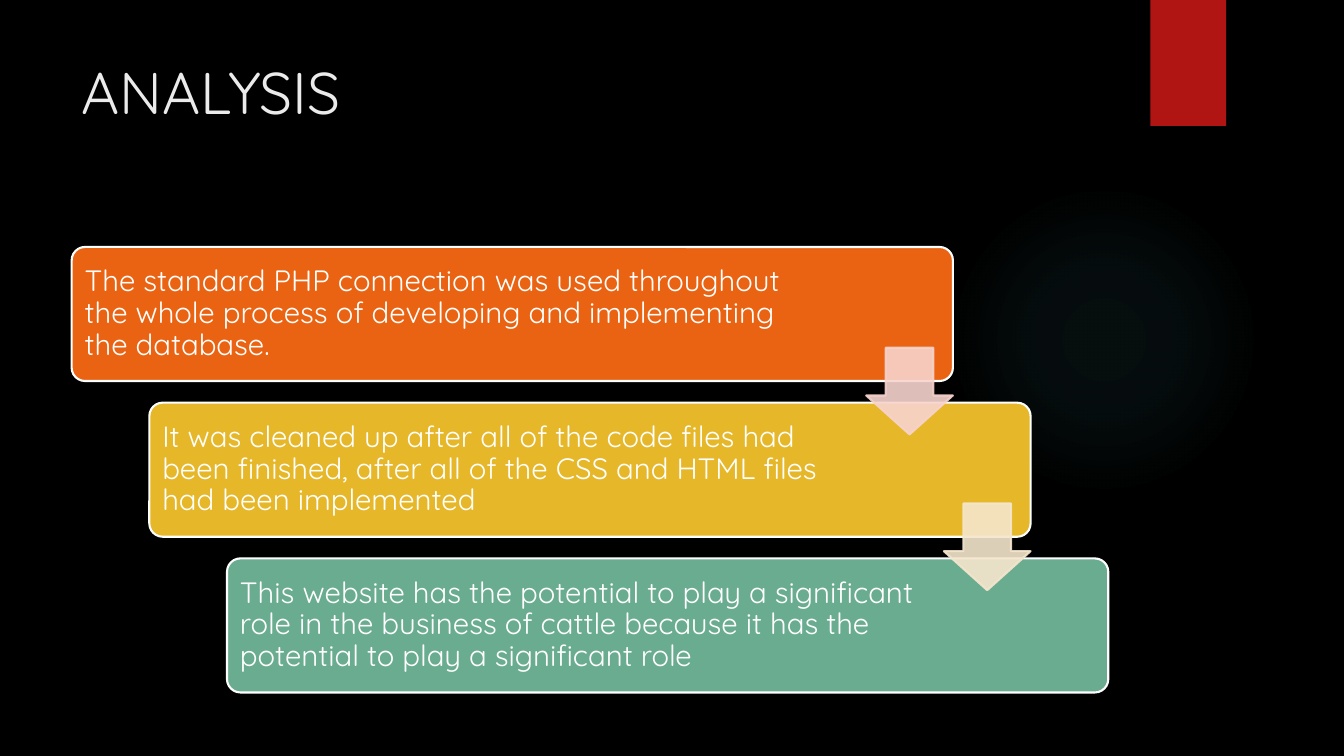
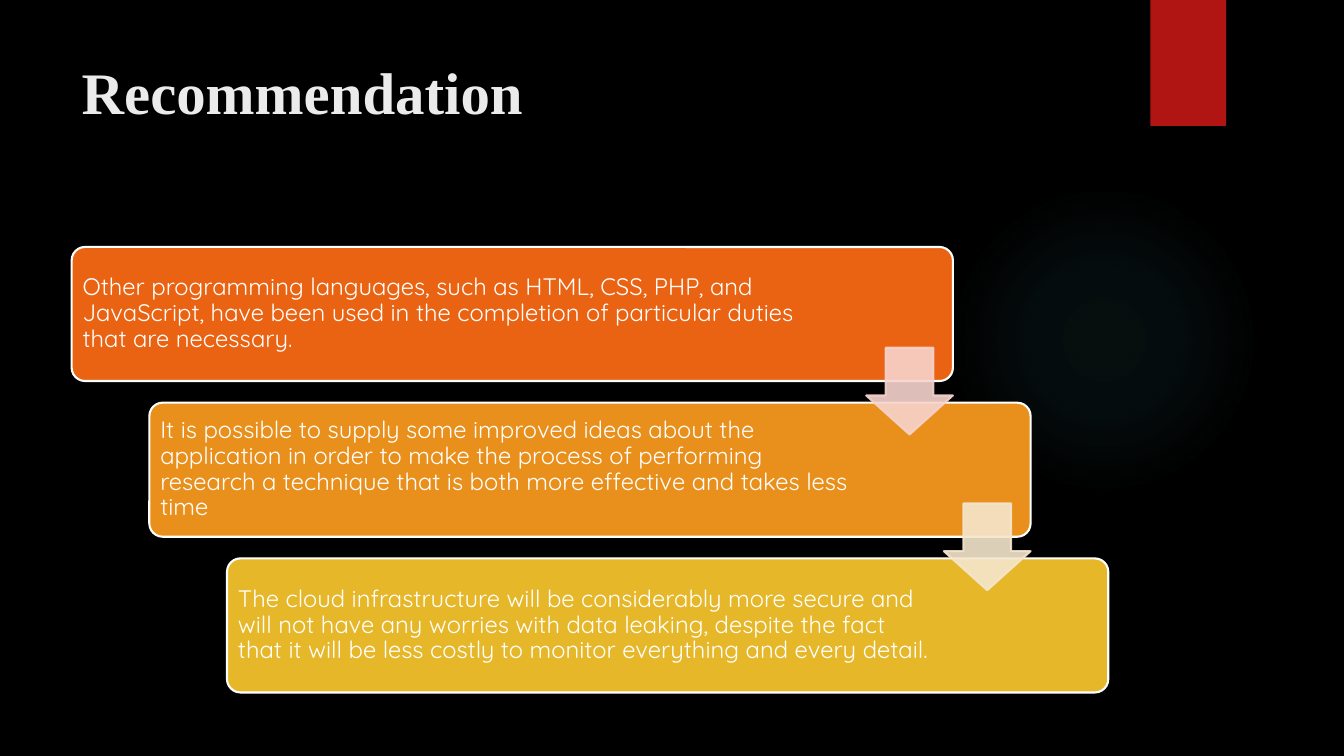
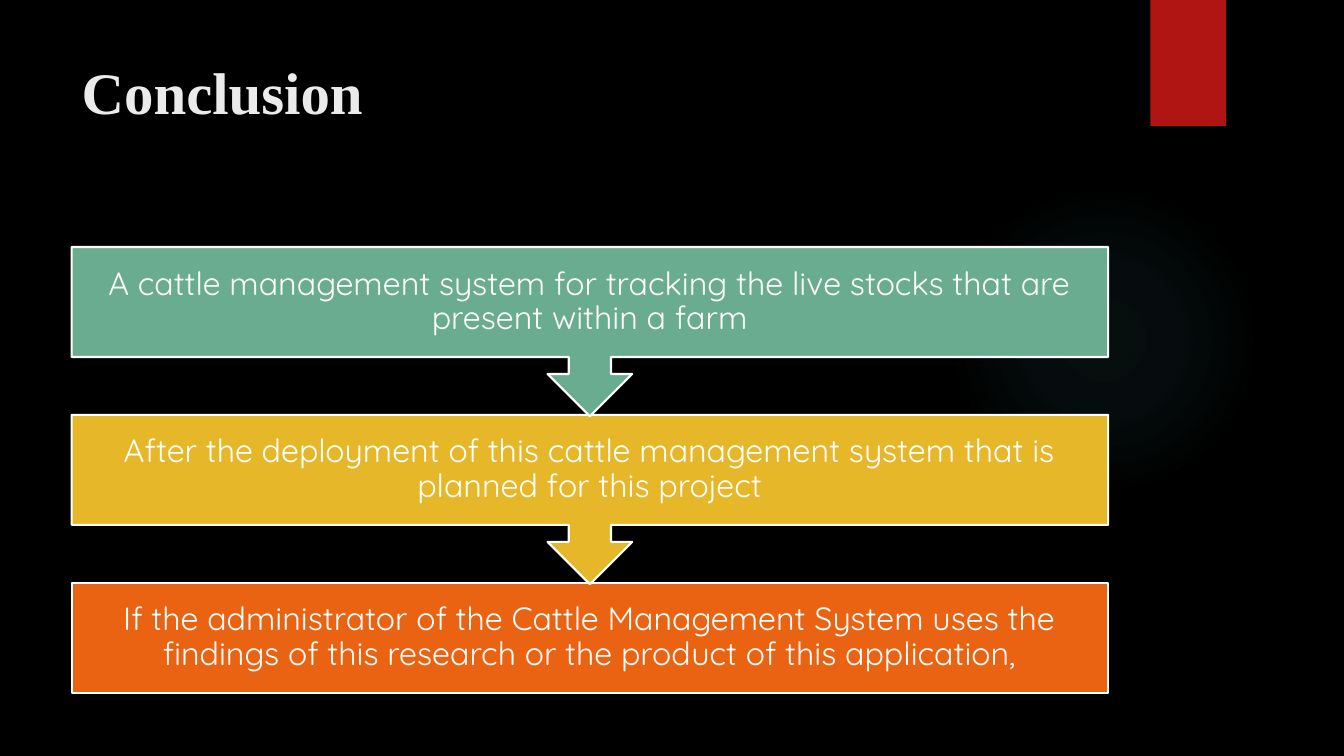
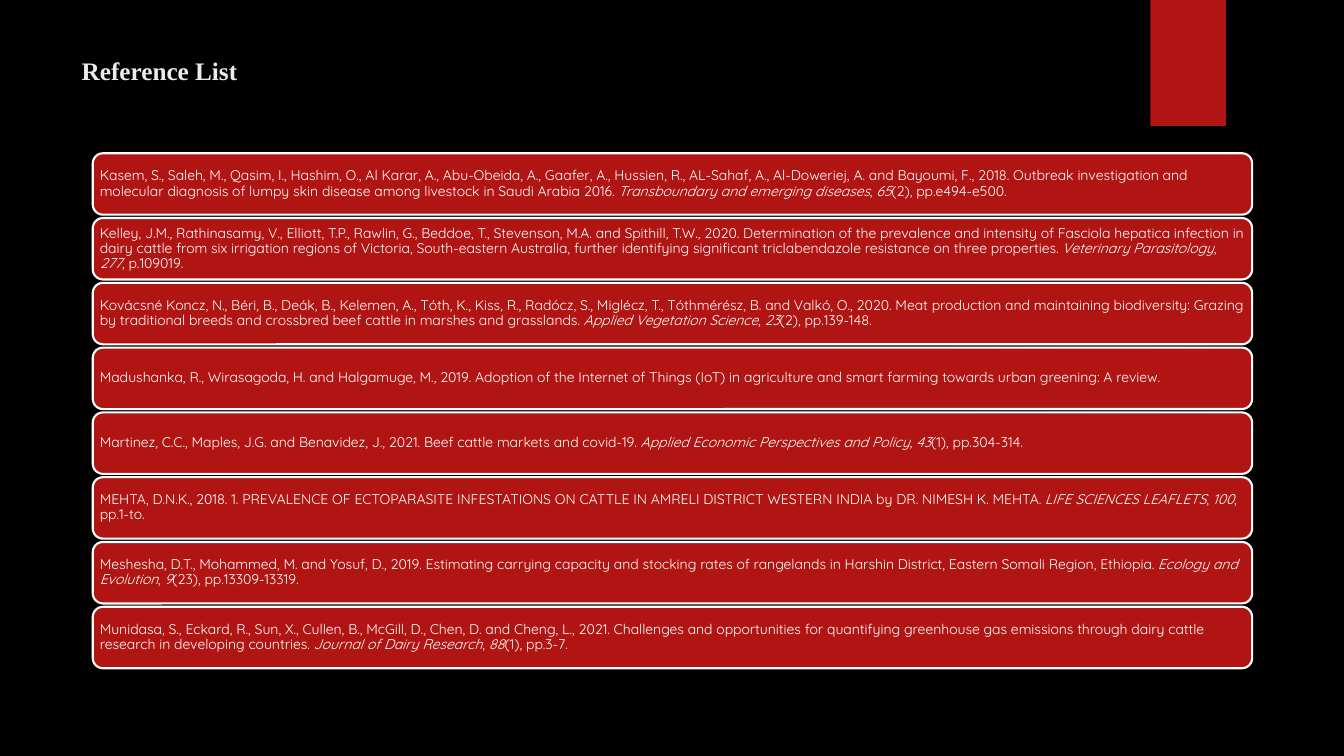
from lxml import etree
from pptx import Presentation
from pptx import util as u
from pptx.dml.color import RGBColor
from pptx.enum import shapes, text
from pptx.oxml import parse_xml
from pptx.oxml.ns import nsdecls, qn

BLACK = RGBColor(0x00, 0x00, 0x00)
WHITE = RGBColor(0xFF, 0xFF, 0xFF)
TITLE_GREY = RGBColor(0xEB, 0xEB, 0xEB)
RED = RGBColor(0xB0, 0x15, 0x13)
ORANGE = RGBColor(0xEA, 0x63, 0x12)
AMBER = RGBColor(0xE9, 0x90, 0x1C)
YELLOW = RGBColor(0xE6, 0xB7, 0x29)
GREEN = RGBColor(0x6A, 0xAC, 0x90)
PINK = RGBColor(0xF7, 0xD3, 0xCC)
CREAM = RGBColor(0xF5, 0xE6, 0xCD)
BODY_FONT = "Quicksand"
HEADING_FONT = "Times New Roman"
PRESET = shapes.MSO_SHAPE

presentation = Presentation()
presentation.slide_width = u.Inches(13.33)
presentation.slide_height = u.Inches(7.5)
column = presentation.slide_width / 100
row = presentation.slide_height / 100


def add_box(slide, preset, left, top, width, height, fill, outline=None):
    shape = slide.shapes.add_shape(
        preset, round(left * column), round(top * row), round(width * column), round(height * row))
    shape.shadow.inherit = False
    shape.fill.solid()
    shape.fill.fore_color.rgb = fill
    if outline is None:
        shape.line.fill.background()
    else:
        shape.line.color.rgb = outline
        shape.line.width = u.Pt(1.5)
    return shape


def add_text(shape, runs, size, margin, alignment=text.PP_ALIGN.LEFT, spare_right=0):
    frame = shape.text_frame
    frame.word_wrap = True
    frame.vertical_anchor = text.MSO_ANCHOR.MIDDLE
    frame.margin_left = frame.margin_top = frame.margin_bottom = u.Inches(margin)
    frame.margin_right = u.Inches(margin + spare_right)
    paragraph = frame.paragraphs[0]
    paragraph.alignment = alignment
    paragraph.line_spacing = 0.9
    for index, wording in enumerate(runs):
        run = paragraph.add_run()
        run.text = wording
        run.font.name = BODY_FONT
        run.font.size = u.Pt(size)
        run.font.italic = index % 2 == 1
        run.font.color.rgb = WHITE


layout = presentation.slide_layouts[5]
layout.background.fill.solid()
layout.background.fill.fore_color.rgb = BLACK
for placeholder in list(layout.placeholders):
    if placeholder.placeholder_format.idx != 0:
        layout.shapes.element.remove(placeholder.element)

titles = [
    ("ANALYSIS", BODY_FONT, 42, False),
    ("Recommendation", HEADING_FONT, 42, True),
    ("Conclusion", HEADING_FONT, 42, True),
    ("Reference List", HEADING_FONT, 18, True),
]
for wording, font_name, size, bold in titles:
    title = presentation.slides.add_slide(layout).shapes.title
    title.left, title.top = round(5.33 * column), round(6.67 * row)
    title.width, title.height = round(77.2 * column), round(20.4 * row)
    title.text_frame.vertical_anchor = text.MSO_ANCHOR.TOP
    title.text_frame.auto_size = text.MSO_AUTO_SIZE.NONE
    paragraph = title.text_frame.paragraphs[0]
    paragraph.alignment = text.PP_ALIGN.LEFT
    run = paragraph.add_run()
    run.text = wording
    run.font.name = font_name
    run.font.size = u.Pt(size)
    run.font.bold = bold
    run.font.color.rgb = TITLE_GREY

analysis, recommendation, conclusion, references = presentation.slides

glow = add_box(analysis, PRESET.OVAL, 70.59, 24.4, 23.1, 41.07, BLACK)
stops = "".join(
    f'<a:gs pos="{position * 1000}"><a:srgbClr val="50B9C1"><a:alpha val="{alpha * 1000}"/></a:srgbClr></a:gs>'
    for position, alpha in [(0, 7), (36, 6), (69, 0)])
gradient = parse_xml(
    f'<a:gradFill {nsdecls("a")}><a:gsLst>{stops}</a:gsLst><a:path path="circle">'
    '<a:fillToRect l="50000" t="50000" r="50000" b="50000"/></a:path></a:gradFill>')
properties = glow.element.spPr
properties.replace(properties.find(qn("a:solidFill")), gradient)

ribbon = add_box(analysis, PRESET.RECTANGLE, 85.6, 0, 5.63, 16.67, RED)
ribbon.element.spPr.find(qn("a:effectLst")).append(parse_xml(
    f'<a:outerShdw {nsdecls("a")} blurRad="{u.Pt(3)}" dist="{u.Pt(2)}" dir="5400000">'
    '<a:srgbClr val="000000"><a:alpha val="45000"/></a:srgbClr></a:outerShdw>'))
for decoration in (glow, ribbon):
    layout.shapes.element.append(decoration.element)

staircases = [
    (analysis, 21, 0.09, [
        (ORANGE, "The standard PHP connection was used throughout the whole process of developing and implementing the database."),
        (YELLOW, "It was cleaned up after all of the code files had been finished, after all of the CSS and HTML files had been implemented"),
        (GREEN, "This website has the potential to play a significant role in the business of cattle because it has the potential to play a significant role"),
    ]),
    (recommendation, 17, 0.07, [
        (ORANGE, "Other programming languages, such as HTML, CSS, PHP, and JavaScript, have been used in the completion of particular duties that are necessary."),
        (AMBER, "It is possible to supply some improved ideas about the application in order to make the process of performing research a technique that is both more effective and takes less time"),
        (YELLOW, "The cloud infrastructure will be considerably more secure and will not have any worries with data leaking, despite the fact that it will be less costly to monitor everything and every detail."),
    ]),
]
left, top, step_right, step_down = 5.33, 32.67, 5.78, 20.6
card_width, arrow_width = 65.57, 6.45
for slide, size, margin, cards in staircases:
    for index, (fill, wording) in enumerate(cards):
        card = add_box(slide, PRESET.ROUNDED_RECTANGLE, left + index * step_right,
                       top + index * step_down, card_width, 17.73, fill, WHITE)
        card.adjustments[0] = 0.1
        add_text(card, [wording], size, margin, spare_right=1.63 if index else 1.35)
    for index, colour in enumerate((PINK, CREAM)):
        arrow = add_box(slide, PRESET.DOWN_ARROW, left + index * step_right + card_width - arrow_width,
                        top + index * step_down + 13.33, arrow_width, 11.47, colour, colour)
        arrow.adjustments[0] = 0.55
        arrow.adjustments[1] = 0.45
        for tint in arrow.element.spPr.iter(qn("a:srgbClr")):
            etree.SubElement(tint, qn("a:alpha")).set("val", "90000")

conclusions = [
    (GREEN, "A cattle management system for tracking the live stocks that are present within a farm"),
    (YELLOW, "After the deployment of this cattle management system that is planned for this project"),
    (ORANGE, "If the administrator of the Cattle Management System uses the findings of this research or the product of this application,"),
]
for index, (fill, wording) in reversed(list(enumerate(conclusions))):
    is_last = index == len(conclusions) - 1
    preset = PRESET.RECTANGLE if is_last else PRESET.DOWN_ARROW_CALLOUT
    stage = add_box(conclusion, preset, left, top + index * 22.2, 77.12,
                    14.55 if is_last else 22.4, fill, WHITE)
    add_text(stage, [wording], 23, 0.18, text.PP_ALIGN.CENTER)

sources = [
    ("Kasem, S., Saleh, M., Qasim, I., Hashim, O., Al Karar, A., Abu‐Obeida, A., Gaafer, A., Hussien, R., AL‐Sahaf, A., Al‐Doweriej, A. and Bayoumi, F., 2018. Outbreak investigation and molecular diagnosis of lumpy skin disease among livestock in Saudi Arabia 2016. ",
     "Transboundary and emerging diseases", ", ", "65", "(2), pp.e494-e500."),
    ("Kelley, J.M., Rathinasamy, V., Elliott, T.P., Rawlin, G., Beddoe, T., Stevenson, M.A. and Spithill, T.W., 2020. Determination of the prevalence and intensity of Fasciola hepatica infection in dairy cattle from six irrigation regions of Victoria, South-eastern Australia, further identifying significant triclabendazole resistance on three properties. ",
     "Veterinary Parasitology", ", ", "277", ", p.109019."),
    ("Kovácsné Koncz, N., Béri, B., Deák, B., Kelemen, A., Tóth, K., Kiss, R., Radócz, S., Miglécz, T., Tóthmérész, B. and Valkó, O., 2020. Meat production and maintaining biodiversity: Grazing by traditional breeds and crossbred beef cattle in marshes and grasslands. ",
     "Applied Vegetation Science", ", ", "23", "(2), pp.139-148."),
    ("Madushanka, R., Wirasagoda, H. and Halgamuge, M., 2019. Adoption of the Internet of Things (IoT) in agriculture and smart farming towards urban greening: A review.",),
    ("Martinez, C.C., Maples, J.G. and Benavidez, J., 2021. Beef cattle markets and covid‐19. ",
     "Applied Economic Perspectives and Policy", ", ", "43", "(1), pp.304-314."),
    ("MEHTA, D.N.K., 2018. 1. PREVALENCE OF ECTOPARASITE INFESTATIONS ON CATTLE IN AMRELI DISTRICT WESTERN INDIA by DR. NIMESH K. MEHTA. ",
     "LIFE SCIENCES LEAFLETS", ", ", "100", ", pp.1-to."),
    ("Meshesha, D.T., Mohammed, M. and Yosuf, D., 2019. Estimating carrying capacity and stocking rates of rangelands in Harshin District, Eastern Somali Region, Ethiopia. ",
     "Ecology and Evolution", ", ", "9", "(23), pp.13309-13319."),
    ("Munidasa, S., Eckard, R., Sun, X., Cullen, B., McGill, D., Chen, D. and Cheng, L., 2021. Challenges and opportunities for quantifying greenhouse gas emissions through dairy cattle research in developing countries. ",
     "Journal of Dairy Research", ", ", "88", "(1), pp.3-7."),
]
for index, runs in enumerate(sources):
    entry = add_box(references, PRESET.ROUNDED_RECTANGLE, 6.9, 20.27 + index * 8.57, 86.27, 8.13, RED, WHITE)
    add_text(entry, runs, 10, 0.04)

presentation.save("out.pptx")
